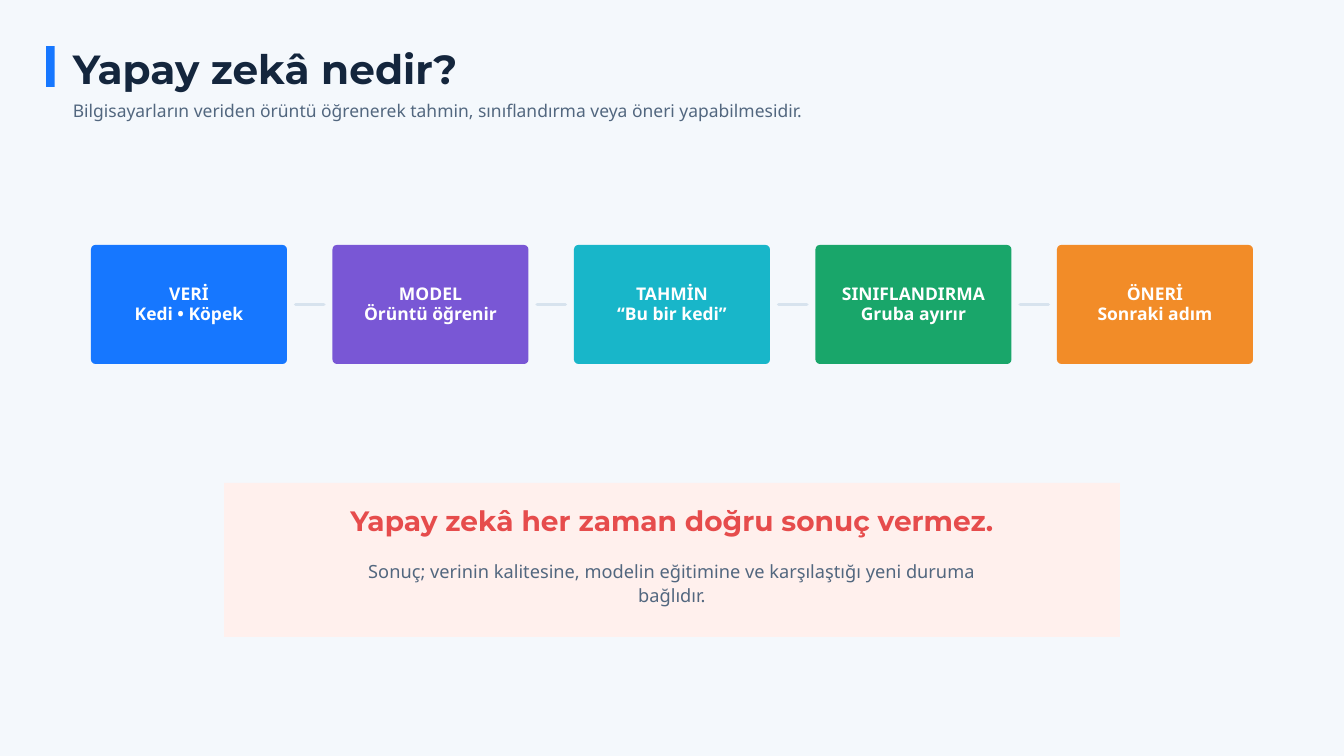
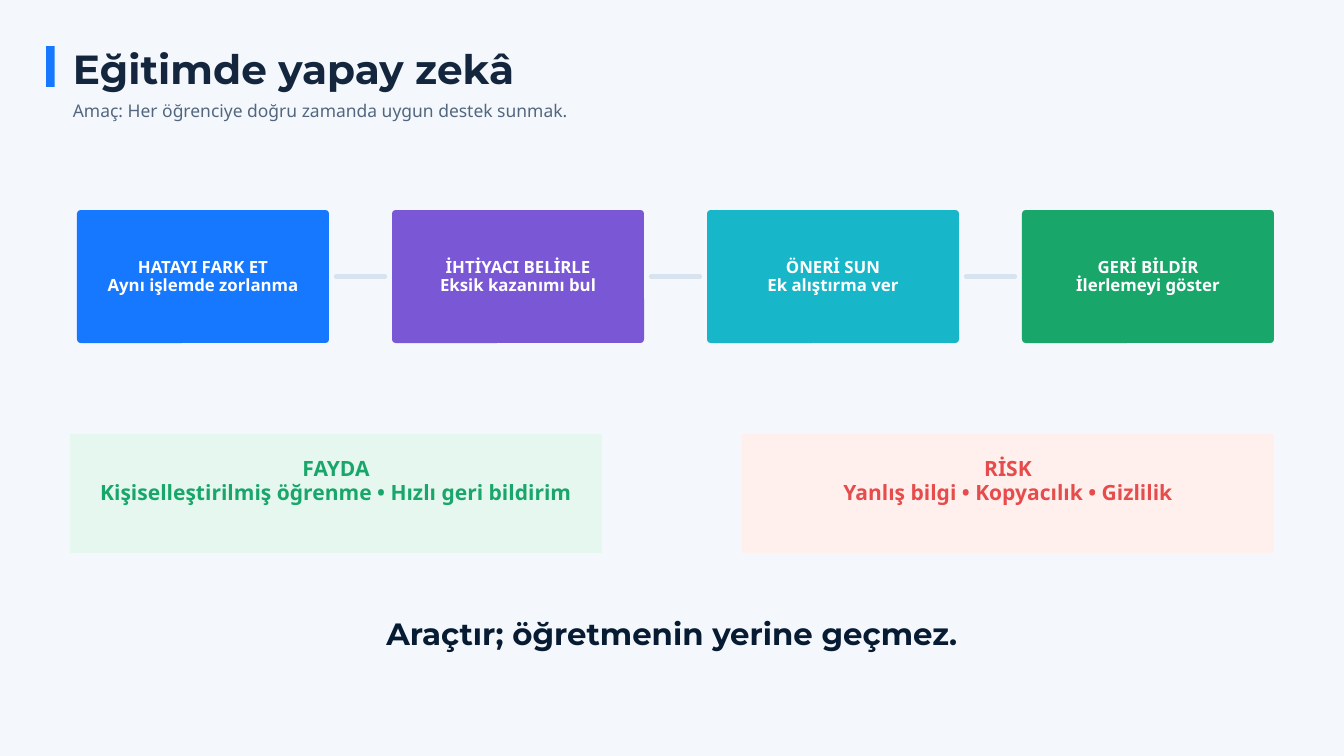
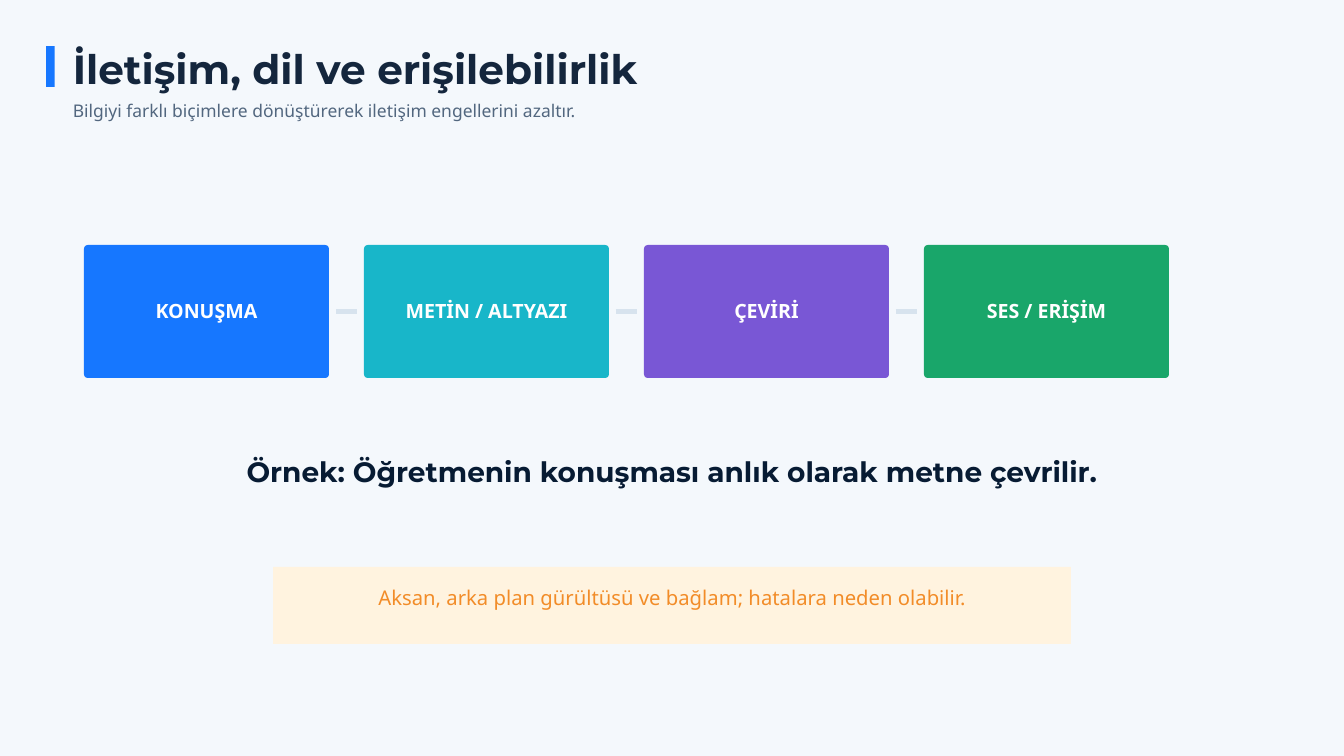
from lxml import etree
from pptx import Presentation
from pptx import util as u
from pptx.dml.color import RGBColor
from pptx.enum import shapes, text
from pptx.oxml import ns

BLUE, PURPLE, TEAL, GREEN, ORANGE = "1677FF", "7957D5", "18B6C9", "19A66A", "F28C28"
RED, NAVY, INK, SLATE, WHITE = "E64C4C", "071B33", "14263D", "52677F", "FFFFFF"
PAGE, LINK = "F4F8FC", "D7E3EE"
PALE_RED, PALE_GREEN, PALE_ORANGE = "FFF0ED", "E5F7EF", "FFF3DF"
HEADING, BODY = "Montserrat", "Noto Sans"
LEFT, CENTER = text.PP_ALIGN.LEFT, text.PP_ALIGN.CENTER


def color(value):
    return RGBColor.from_string(value)


def points(*values):
    return [u.Pt(value) for value in values]


def apply(target, values):
    for name, value in values.items():
        setattr(target, name, value)


class Lesson:
    def __init__(self):
        self.deck = Presentation()
        self.deck.slide_width, self.deck.slide_height = points(1440, 810)
        fill = self.deck.slide_master.background.fill
        fill.solid()
        fill.fore_color.rgb = color(PAGE)
        self.slide = None

    def typeset(self, frame, lines, size, leading, ink, font=BODY, bold=False,
                align=CENTER, anchor=text.MSO_ANCHOR.TOP, inset=0):
        margin = u.Pt(inset)
        apply(frame, dict(word_wrap=True, auto_size=text.MSO_AUTO_SIZE.NONE,
                          vertical_anchor=anchor, margin_left=margin, margin_top=margin,
                          margin_right=margin, margin_bottom=margin))
        for index, line in enumerate(lines):
            para = frame.add_paragraph() if index else frame.paragraphs[0]
            apply(para, dict(alignment=align, line_spacing=u.Pt(leading)))
            span = para.add_run()
            span.text = line
            apply(span.font, dict(name=font, size=u.Pt(size), bold=bold))
            span.font.color.rgb = color(ink)

    def label(self, place, lines, size, leading, ink, **style):
        box = self.slide.shapes.add_textbox(*points(*place))
        self.typeset(box.text_frame, lines, size, leading, ink, **style)

    def block(self, place, fill, kind=shapes.MSO_SHAPE.RECTANGLE):
        box = self.slide.shapes.add_shape(kind, *points(*place))
        box.shadow.inherit = False
        box.fill.solid()
        box.fill.fore_color.rgb = color(fill)
        box.line.fill.background()
        return box

    def page(self, title, subtitle):
        self.slide = self.deck.slides.add_slide(self.deck.slide_layouts[5])
        heading = self.slide.shapes.title
        left, top, width, height = points(78, 53.5, 1125, 46)
        apply(heading, dict(left=left, top=top, width=width, height=height))
        self.typeset(heading.text_frame, [title], 43.5, 45.7, INK, HEADING, True, LEFT)
        self.label((78, 104.5, 1110, 25), [subtitle], 18.75, 25.3, SLATE, align=LEFT)
        self.block((49.5, 49.5, 9, 43.5), BLUE)

    def link(self, start, end, middle, weight, cap):
        line = self.slide.shapes.add_connector(
            shapes.MSO_CONNECTOR.STRAIGHT, *points(start, middle, end, middle))
        line.line.color.rgb = color(LINK)
        line.line.width = u.Pt(weight)
        properties = line._element.spPr
        properties.find(ns.qn("a:ln")).set("cap", cap)
        etree.SubElement(properties, ns.qn("a:effectLst"))

    def flow(self, cards, place, pitch, size, leading, radius=4, inset=7.5,
             weight=4.5, cap="rnd"):
        left, top, width, height = place
        for index, (fill, *lines) in enumerate(cards):
            start = left + index * pitch
            card = self.block((start, top, width, height), fill,
                              shapes.MSO_SHAPE.ROUNDED_RECTANGLE)
            card.adjustments[0] = radius / height
            self.typeset(card.text_frame, lines, size, leading, WHITE, bold=True,
                         anchor=text.MSO_ANCHOR.MIDDLE, inset=4.5)
            if index < len(cards) - 1:
                self.link(start + width + inset, start + pitch - inset,
                          top + height / 2, weight, cap)


def definition(lesson):
    lesson.page("Yapay zekâ nedir?",
                "Bilgisayarların veriden örüntü öğrenerek tahmin, sınıflandırma "
                "veya öneri yapabilmesidir.")
    lesson.flow([(BLUE, "VERİ", "Kedi • Köpek"),
                 (PURPLE, "MODEL", "Örüntü öğrenir"),
                 (TEAL, "TAHMİN", "“Bu bir kedi”"),
                 (GREEN, "SINIFLANDIRMA", "Gruba ayırır"),
                 (ORANGE, "ÖNERİ", "Sonraki adım")],
                (97.5, 262.5, 210, 127.5), 258.75, 18.75, 20.6,
                radius=4.7, inset=9.25, weight=3.75)
    lesson.block((240, 517.5, 960, 165), PALE_RED)
    lesson.label((285, 543.5, 870, 32.5), ["Yapay zekâ her zaman doğru sonuç vermez."],
                 30, 31.5, RED, font=HEADING, bold=True)
    lesson.label((360, 597, 720, 52.5),
                 ["Sonuç; verinin kalitesine, modelin eğitimine ve karşılaştığı "
                  "yeni duruma bağlıdır."], 19.5, 26.3, SLATE)


def education(lesson):
    lesson.page("Eğitimde yapay zekâ",
                "Amaç: Her öğrenciye doğru zamanda uygun destek sunmak.")
    lesson.flow([(BLUE, "HATAYI FARK ET", "Aynı işlemde zorlanma"),
                 (PURPLE, "İHTİYACI BELİRLE", "Eksik kazanımı bul"),
                 (TEAL, "ÖNERİ SUN", "Ek alıştırma ver"),
                 (GREEN, "GERİ BİLDİR", "İlerlemeyi göster")],
                (82.5, 225, 270, 142.5), 337.5, 18, 19.8)
    panels = [(75, PALE_GREEN, GREEN, "FAYDA",
               "Kişiselleştirilmiş öğrenme • Hızlı geri bildirim"),
              (795, PALE_RED, RED, "RİSK", "Yanlış bilgi • Kopyacılık • Gizlilik")]
    for left, fill, ink, *lines in panels:
        lesson.block((left, 465, 570, 127.5), fill)
        lesson.label((left + 22.5, 489, 525, 50), lines, 22.5, 25.9, ink, bold=True)
    lesson.label((315, 664, 810, 36), ["Araçtır; öğretmenin yerine geçmez."],
                 33, 34.6, NAVY, font=HEADING, bold=True)


def communication(lesson):
    lesson.page("İletişim, dil ve erişilebilirlik",
                "Bilgiyi farklı biçimlere dönüştürerek iletişim engellerini azaltır.")
    lesson.flow([(BLUE, "KONUŞMA"), (TEAL, "METİN / ALTYAZI"),
                 (PURPLE, "ÇEVİRİ"), (GREEN, "SES / ERİŞİM")],
                (90, 262.5, 262.5, 142.5), 300, 21, 23.1, cap="flat")
    lesson.label((225, 491, 990, 32.5),
                 ["Örnek: Öğretmenin konuşması anlık olarak metne çevrilir."],
                 30, 31.5, NAVY, font=HEADING, bold=True)
    lesson.block((292.5, 607.5, 855, 82.5), PALE_ORANGE)
    lesson.label((322.5, 624, 795, 28),
                 ["Aksan, arka plan gürültüsü ve bağlam; hatalara neden olabilir."],
                 21.75, 29.4, ORANGE)


def main():
    lesson = Lesson()
    definition(lesson)
    education(lesson)
    communication(lesson)
    lesson.deck.save("out.pptx")


if __name__ == "__main__":
    main()
